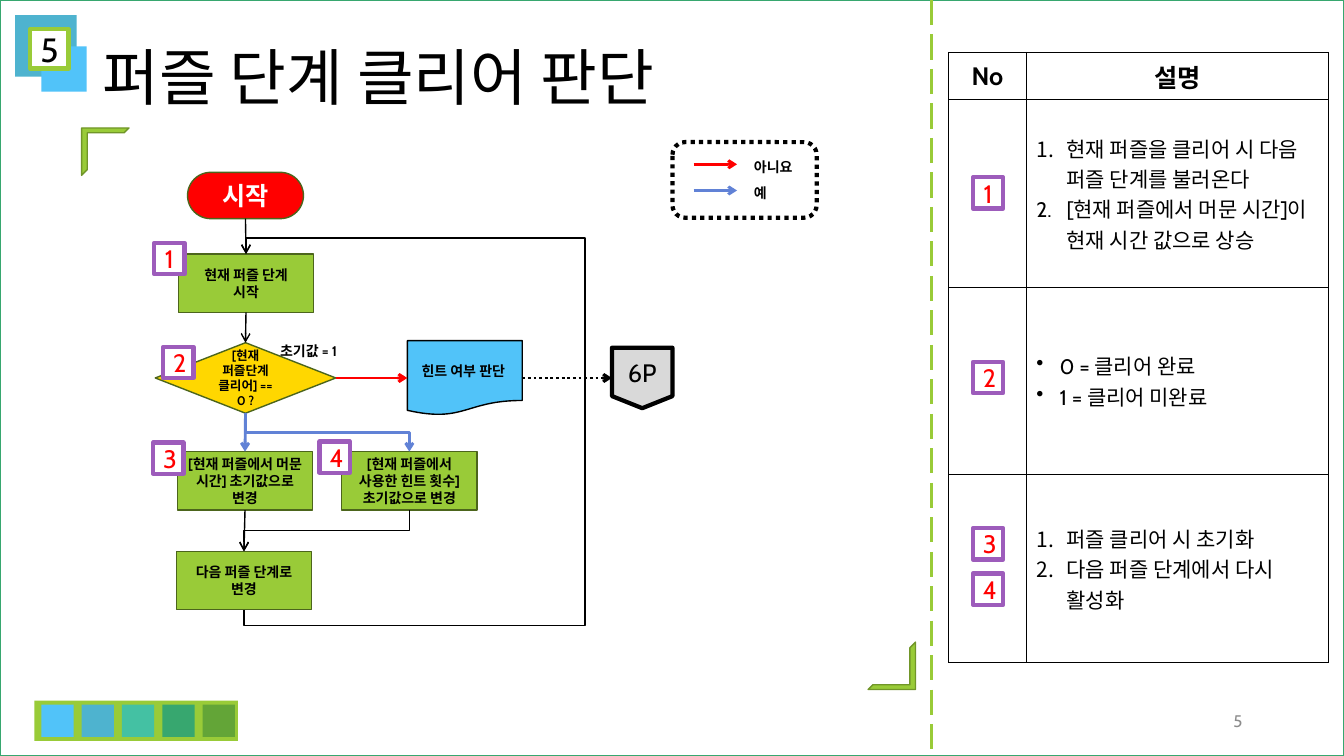
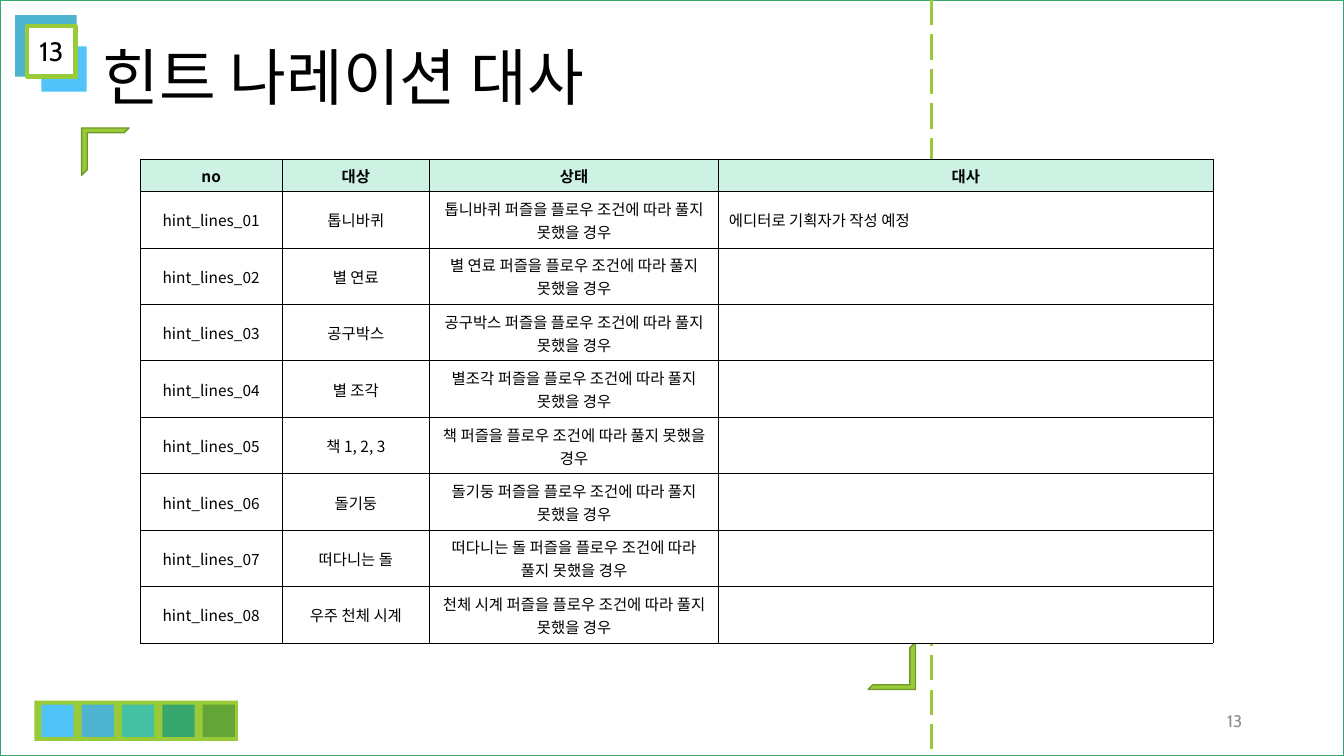
from lxml import etree
from pptx import Presentation
from pptx.dml.color import RGBColor
from pptx.enum.dml import MSO_LINE
from pptx.enum.shapes import MSO_CONNECTOR, MSO_SHAPE
from pptx.enum.text import MSO_ANCHOR, PP_ALIGN
from pptx.oxml.ns import qn
from pptx.util import Pt

PX = 9144  # 100 px to the inch
FONT, TITLE_FONT, KOREAN_FONT = "Cabin", "Times New Roman", "Noto Sans CJK KR"
COLORS = {
    "white": "FFFFFF", "black": "000000", "gray": "8C8C8C", "light_gray": "D9D9D9",
    "lime": "99CB38", "lime_edge": "719629", "olive": "4C651C", "leaf": "63A537",
    "green": "37A76F", "mint": "44C1A3", "pale_mint": "CDF2E4", "teal": "4EB3CF",
    "sky": "51C3F9", "red": "FF0000", "gold": "FFD700", "purple": "9D5CBB", "blue": "6182D6",
}
LEFT, CENTER, RIGHT = PP_ALIGN.LEFT, PP_ALIGN.CENTER, PP_ALIGN.RIGHT
TOP, MIDDLE = MSO_ANCHOR.TOP, MSO_ANCHOR.MIDDLE
RECT, ROUND_RECT, DIAMOND = MSO_SHAPE.RECTANGLE, MSO_SHAPE.ROUNDED_RECTANGLE, MSO_SHAPE.DIAMOND
DOCUMENT, OFFPAGE = MSO_SHAPE.FLOWCHART_DOCUMENT, MSO_SHAPE.FLOWCHART_OFFPAGE_CONNECTOR
HALF_FRAME = MSO_SHAPE.HALF_FRAME
STRAIGHT, ELBOW = MSO_CONNECTOR.STRAIGHT, MSO_CONNECTOR.ELBOW
DOTTED, LONG_DASH = MSO_LINE.ROUND_DOT, MSO_LINE.LONG_DASH
SITE_TOP, SITE_LEFT, SITE_BOTTOM, SITE_RIGHT = range(4)

SWATCHES = ["sky", "teal", "mint", "green", "leaf"]
DESCRIPTIONS = [
    ("현재 퍼즐을 클리어 시 다음 퍼즐 단계를 불러온다\n[현재 퍼즐에서 머문 시간]이 현재 시간 값으로 상승", "number"),
    ("0 = 클리어 완료\n1 = 클리어 미완료", "dot"),
    ("퍼즐 클리어 시 초기화\n다음 퍼즐 단계에서 다시 활성화", "number"),
]
HINT_HEADERS = ["no", "대상", "상태", "대사"]
HINTS = [  # target, puzzle named in the condition
    ("톱니바퀴", "톱니바퀴"), ("별 연료", "별 연료"), ("공구박스", "공구박스"),
    ("별 조각", "별조각"), ("책 1, 2, 3", "책"), ("돌기둥", "돌기둥"),
    ("떠다니는 돌", "떠다니는 돌"), ("우주 천체 시계", "천체 시계"),
]


def rgb(name):
    return RGBColor.from_string(COLORS[name])


def px(*lengths):
    return [length * PX for length in lengths]


def add_bullet(paragraph, kind):
    indent = 30 if kind == "number" else 23
    properties = paragraph._p.get_or_add_pPr()
    properties.set("marL", str(indent * PX))
    properties.set("indent", str(-indent * PX))
    if kind == "number":
        etree.SubElement(properties, qn("a:buAutoNum"), type="arabicPeriod")
    else:
        etree.SubElement(properties, qn("a:buChar"), char="•")


def write(frame, text, size=10, color="black", bold=False, font=FONT, align=CENTER,
          spacing=None, bullet=None):
    """Fill a text frame, one paragraph for each line of text."""
    for index, line in enumerate(text.split("\n")):
        paragraph = frame.add_paragraph() if index else frame.paragraphs[0]
        if bullet:
            add_bullet(paragraph, bullet)
        paragraph.alignment = align
        if spacing:
            paragraph.line_spacing = spacing
        run = paragraph.add_run()
        run.text = line
        run.font.size, run.font.bold, run.font.name = Pt(size), bold, font
        run.font.color.rgb = rgb(color)
        etree.SubElement(run._r.get_or_add_rPr(), qn("a:ea"), typeface=KOREAN_FONT)


def add_text(slide, box, text, anchor=MIDDLE, wrap=True, **style):
    frame = slide.shapes.add_textbox(*px(*box)).text_frame
    frame.word_wrap, frame.vertical_anchor = wrap, anchor
    write(frame, text, **style)


def add_box(slide, kind, box, fill=None, line=None, weight=1, dash=None,
            adjust=(), text="", inset=None, **style):
    shape = slide.shapes.add_shape(kind, *px(*box))
    shape.shadow.inherit = False
    for index, value in enumerate(adjust):
        shape.adjustments[index] = value
    if fill:
        shape.fill.solid()
        shape.fill.fore_color.rgb = rgb(fill)
    else:
        shape.fill.background()
    if line:
        shape.line.color.rgb = rgb(line)
        shape.line.width = Pt(weight)
        if dash:
            shape.line.dash_style = dash
    else:
        shape.line.fill.background()
    if text:
        frame = shape.text_frame
        frame.word_wrap, frame.vertical_anchor = True, MIDDLE
        if inset is not None:
            frame.margin_left = frame.margin_right = inset * PX
            frame.margin_top = frame.margin_bottom = inset * PX
        write(frame, text, **style)
    return shape


def style_line(connector, color, weight, dash=None, arrow=True):
    connector.line.color.rgb = rgb(color)
    connector.line.width = Pt(weight)
    if dash:
        connector.line.dash_style = dash
    properties = connector._element.spPr
    if arrow:
        etree.SubElement(properties.find(qn("a:ln")), qn("a:tailEnd"), type="arrow")
    etree.SubElement(properties, qn("a:effectLst"))


def add_line(slide, start, end, color, weight, **style):
    line = slide.shapes.add_connector(STRAIGHT, *px(*start, *end))
    style_line(line, color, weight, **style)


def join(slide, source, target, sites, color="black", weight=1, dash=None):
    """Straight arrow glued to a side of each shape."""
    arrow = slide.shapes.add_connector(STRAIGHT, 0, 0, 0, 0)
    arrow.begin_connect(source, sites[0])
    arrow.end_connect(target, sites[1])
    style_line(arrow, color, weight, dash)


def bend(slide, source, target, color="black", weight=1, lanes=None):
    """Elbow arrow from bottom to top; lanes (y, x, y) lead it around the shapes."""
    x0, y0 = source.left + source.width // 2, source.top + source.height
    x1, y1 = target.left + target.width // 2, target.top
    length, breadth = abs(y1 - y0), abs(x1 - x0)
    left, top = (x0 + x1 - length) // 2, (y0 + y1 - breadth) // 2
    arrow = slide.shapes.add_connector(ELBOW, left, top, left + length, top + breadth)
    frame = arrow._element.spPr.find(qn("a:xfrm"))
    frame.set("rot", "5400000")
    if y1 < y0:
        frame.set("flipH", "1")
    if x1 > x0:
        frame.set("flipV", "1")
    if lanes:
        first, side, last = lanes
        ratios = [(first - y0) / (y1 - y0), (side - x0) / (x1 - x0), (last - y0) / (y1 - y0)]
        geometry = arrow._element.spPr.find(qn("a:prstGeom"))
        geometry.set("prst", "bentConnector5")
        for number, ratio in enumerate(ratios, 1):
            etree.SubElement(geometry.find(qn("a:avLst")), qn("a:gd"), name=f"adj{number}",
                             fmla=f"val {round(ratio * 100000)}")
    style_line(arrow, color, weight)


def add_badge(slide, left, top, number):
    add_box(slide, RECT, (left, top, 30, 31), "white", "purple", 3,
            text=str(number), size=18, color="red")


def add_grid(slide, left, top, columns, rows):
    table = slide.shapes.add_table(len(rows), len(columns),
                                   *px(left, top, sum(columns), sum(rows))).table
    table.first_row = table.horz_banding = False
    for column, width in zip(table.columns, columns):
        column.width = width * PX
    for row, height in zip(table.rows, rows):
        row.height = height * PX
    return table


def fill_cell(cell, text="", fill="white", border=1, **style):
    cell.fill.solid()
    cell.fill.fore_color.rgb = rgb(fill)
    cell.vertical_anchor = MIDDLE
    properties = cell._tc.get_or_add_tcPr()
    for index, side in enumerate(("lnL", "lnR", "lnT", "lnB")):
        edge = etree.Element(qn(f"a:{side}"), w=str(Pt(border)))
        paint = etree.SubElement(edge, qn("a:solidFill"))
        etree.SubElement(paint, qn("a:srgbClr"), val=COLORS["black"])
        properties.insert(index, edge)
    if text:
        write(cell.text_frame, text, **style)


def add_page(deck, title, number, number_box, number_size):
    """Blank slide with the shared frame, title and page number."""
    slide = deck.slides.add_slide(deck.slide_layouts[6])
    add_box(slide, RECT, (0, 0, 1333, 750), line="green")
    add_box(slide, RECT, (15, 15, 61, 61), "teal")
    add_box(slide, RECT, (41, 46, 45, 45), "sky")
    add_box(slide, RECT, (34, 695, 202, 40), "lime")
    for index, color in enumerate(SWATCHES):
        add_box(slide, RECT, (41 + 40 * index, 699, 32, 32), color)
    for left, top, turn in ((81, 127, 0), (861, 637, 180)):
        corner = add_box(slide, HALF_FRAME, (left, top, 47, 47), "lime", "lime_edge",
                         adjust=(0.1, 0.12))
        corner.rotation = turn
    add_line(slide, (924, 0), (924, 750), "lime", 2.25, dash=LONG_DASH, arrow=False)
    add_text(slide, (92, 40, 808, 80), title, size=44, font=TITLE_FONT, align=LEFT, spacing=0.9)
    add_text(slide, (942, 695, 300, 40), str(number), size=12, color="gray", align=RIGHT)
    add_box(slide, RECT, number_box, "white", "lime", 3, text=str(number),
            size=number_size, inset=0)
    return slide


def add_flowchart(slide, left, top):
    def node(kind, x, y, width, height, text, fill="lime", line="olive", **style):
        style = {"bold": True, **style}
        return add_box(slide, kind, (left + x, top + y, width, height), fill, line,
                       text=text, **style)

    def step(x, y, text):
        return node(RECT, x, y, 134, 58, text)

    start = node(ROUND_RECT, 36, 1, 115, 46, "시작", "red", adjust=(0.5,), size=18, color="white")
    stage = step(27, 82, "현재 퍼즐 단계\n시작")
    cleared = node(DIAMOND, 4, 170, 179, 70, "[현재 퍼즐단계 클리어] == 0 ?", "gold", size=9)
    hint = node(DOCUMENT, 254, 168, 114, 74, "힌트 여부 판단 ", "sky", "black")
    reset_time = step(26, 278, "[현재 퍼즐에서 머문 시간] 초기값으로 변경")
    next_stage = step(25, 377, "다음 퍼즐 단계로 변경")
    reset_hints = step(189, 278, "[현재 퍼즐에서 사용한 힌트 횟수] 초기값으로 변경")
    page_link = node(OFFPAGE, 457, 175, 60, 60, "6P", "light_gray", "black",
                     weight=3, size=18, bold=False)

    down, across = (SITE_BOTTOM, SITE_TOP), (SITE_RIGHT, SITE_LEFT)
    join(slide, cleared, hint, across, "red", 2)
    bend(slide, cleared, reset_hints, "blue", 2)
    join(slide, start, stage, down)
    join(slide, stage, cleared, down)
    join(slide, cleared, reset_time, down, "blue", 2)
    join(slide, reset_time, next_stage, down)
    bend(slide, reset_hints, next_stage)
    bend(slide, next_stage, stage, lanes=px(top + 451, left + 429, top + 66))
    join(slide, hint, page_link, across, weight=2, dash=DOTTED)

    for number, (x, y) in enumerate([(3, 71), (12, 174), (2, 269), (167, 268)], 1):
        add_badge(slide, left + x, top + y, number)
    add_text(slide, (left + 118, top + 165, 85, 27), "초기값 = 1", TOP, False,
             bold=True, align=LEFT)


def add_legend(slide, left, top):
    add_box(slide, ROUND_RECT, (left, top, 143, 75), line="black", weight=3, dash=DOTTED)
    for index, (label, color) in enumerate([("아니요", "red"), ("예", "blue")]):
        y = top + 22 + 26 * index
        add_line(slide, (left + 21, y), (left + 64, y), color, 2)
        add_text(slide, (left + 71, y - 11, 60, 43), label, TOP, False, bold=True, align=LEFT)


def add_descriptions(slide, left, top):
    table = add_grid(slide, left, top, [77, 300], [47, 186, 186, 186])
    for column, header in enumerate(["No", "설명"]):
        fill_cell(table.cell(0, column), header, size=18, bold=True)
    for row, (text, bullet) in enumerate(DESCRIPTIONS, 1):
        fill_cell(table.cell(row, 0))
        fill_cell(table.cell(row, 1), text, size=15, align=LEFT, bullet=bullet)
    for number, y in enumerate([124, 307, 472, 517], 1):
        add_badge(slide, left + 24, top + y, number)


def add_hint_lines(slide, left, top):
    rows = [HINT_HEADERS]
    for number, (target, puzzle) in enumerate(HINTS, 1):
        rows.append([f"hint_lines_{number:02}", target,
                     f"{puzzle} 퍼즐을 플로우 조건에 따라 풀지 못했을 경우",
                     "에디터로 기획자가 작성 예정" if number == 1 else ""])
    table = add_grid(slide, left, top, [141, 146, 287, 490], [32] + [56] * len(HINTS))
    for r, row in enumerate(rows):
        for c, text in enumerate(row):
            is_line = r > 0 and c == 3
            fill_cell(table.cell(r, c), text, "white" if r else "pale_mint", 0.6, size=11,
                      bold=r == 0, font=KOREAN_FONT, align=LEFT if is_line else CENTER,
                      spacing=None if is_line else 1.03)


def main():
    deck = Presentation()
    deck.slide_width, deck.slide_height = px(1333, 750)
    clear_check = add_page(deck, "퍼즐 단계 클리어 판단", 5, (30, 29, 38, 39), 24)
    add_flowchart(clear_check, 150, 170)
    add_legend(clear_check, 667, 141)
    add_descriptions(clear_check, 941, 52)
    narration = add_page(deck, "힌트 나레이션 대사", 13, (27, 26, 48, 50), 19)
    add_hint_lines(narration, 139, 158)
    deck.save("out.pptx")


if __name__ == "__main__":
    main()
